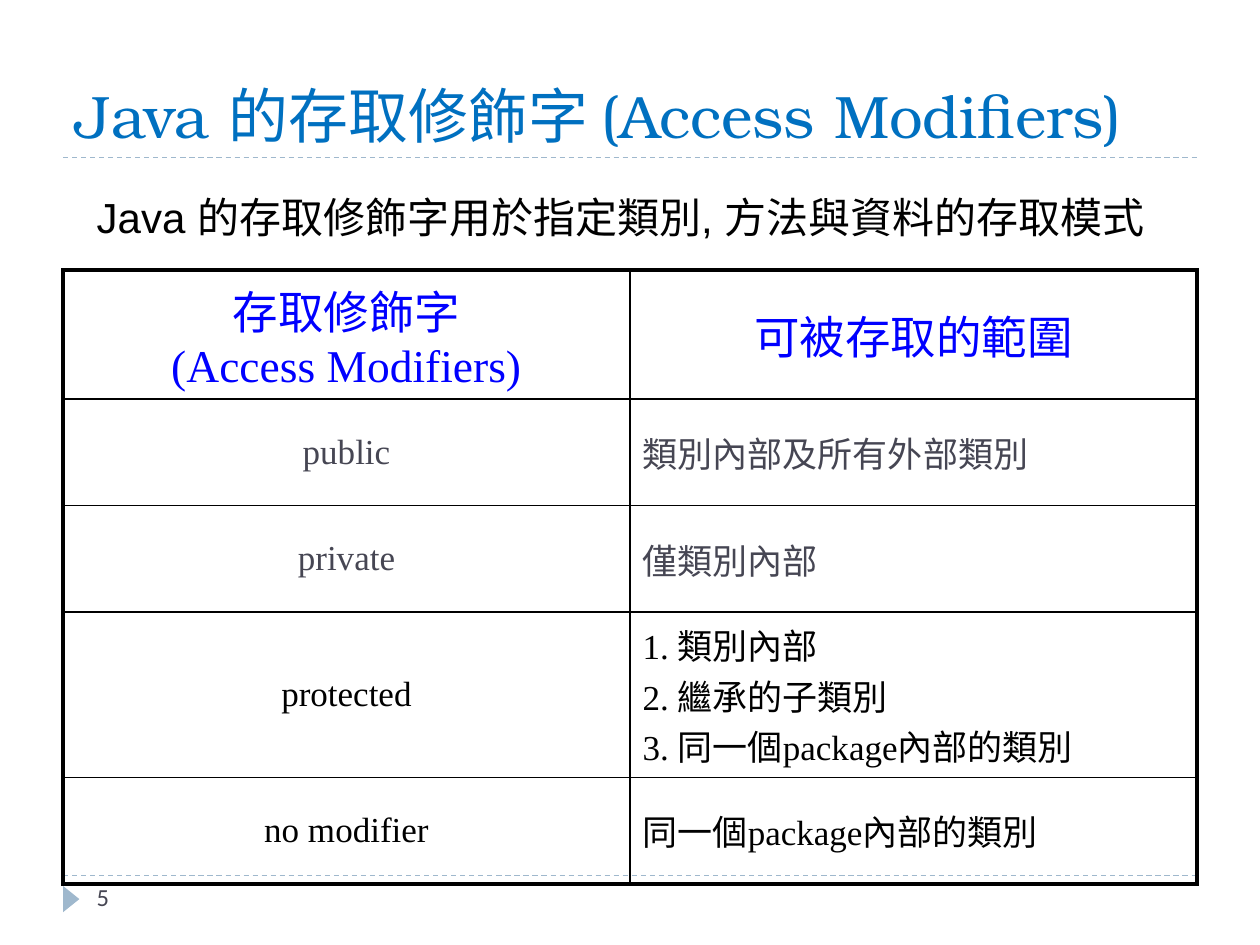
from lxml.etree import SubElement
from pptx import Presentation
from pptx.dml.color import RGBColor as RGB
from pptx.enum.dml import MSO_LINE as Dash
from pptx.enum.shapes import MSO_CONNECTOR as Conn, MSO_SHAPE as Shape
from pptx.enum.text import MSO_ANCHOR as Anchor, MSO_AUTO_SIZE as Fit, PP_ALIGN as Align
from pptx.oxml import parse_xml
from pptx.oxml.ns import nsdecls, qn
from pptx.util import Cm, Pt

# Content
TITLE = "Java 的存取修飾字 (Access Modifiers)"
INTRO = "Java 的存取修飾字用於指定類別, 方法與資料的存取模式"
PAGE = "5"
# (row height in cm, text colour, left lines, right lines)
ROWS = [
    (2.6, "head", ["存取修飾字", "(Access Modifiers)"], ["可被存取的範圍"]),
    (2.15, "soft", ["public"], ["類別內部及所有外部類別"]),
    (2.15, "soft", ["private"], ["僅類別內部"]),
    (3.33, "ink", ["protected"],
     ["1. 類別內部", "2. 繼承的子類別", "3. 同一個package內部的類別"]),
    (2.15, "ink", ["no modifier"], ["同一個package內部的類別"]),
]

# Theme: colours, type (font, size), border widths in points
THEME = {
    "color": {"title": "0070C0", "head": "0000FF", "soft": "464653",
              "ink": "000000", "rule": "9FB8CD"},
    "type": {"title": ("TeX Gyre Bonum", 34.2), "intro": ("Arial", 24),
             "page": ("Calibri", 14), "head": ("Times New Roman", 26),
             "body": ("Times New Roman", 20)},
    "edge": {"outer": 2.25, "inner": 1},
}
LEFT, WIDTH = 1.27, 22.86


def tint(name):
    return RGB.from_string(THEME["color"][name])


def write(para, lines, kind, color):
    font, size = THEME["type"][kind]
    for i, line in enumerate(lines):
        if i:
            para.add_line_break()
        run = para.add_run()
        run.text = line
        run.font.name, run.font.size = font, Pt(size)
        run.font.color.rgb = tint(color)


def label(slide, box, text, kind, color, wrap):
    frame = slide.shapes.add_textbox(*map(Cm, box)).text_frame
    frame.word_wrap = wrap
    write(frame.paragraphs[0], [text], kind, color)
    return frame


def rule(slide, y):
    line = slide.shapes.add_connector(
        Conn.STRAIGHT, Cm(LEFT), Cm(y), Cm(LEFT + WIDTH), Cm(y))
    line.line.color.rgb = tint("rule")
    line.line.width = Pt(0.75)
    line.line.dash_style = Dash.DASH
    SubElement(line._element.spPr, qn("a:effectLst"))


def edge(cell, outer):
    """Draw the four borders; outer names the sides on the table's rim."""
    props = cell._tc.get_or_add_tcPr()
    for i, side in enumerate("LRTB"):
        width = Pt(THEME["edge"]["outer" if side in outer else "inner"])
        props.insert(i, parse_xml(
            f'<a:ln{side} {nsdecls("a")} w="{width}"><a:solidFill>'
            f'<a:srgbClr val="{THEME["color"]["ink"]}"/>'
            f'</a:solidFill></a:ln{side}>'))


def grid(slide, top):
    high = sum(row[0] for row in ROWS)
    table = slide.shapes.add_table(
        len(ROWS), 2, Cm(LEFT), Cm(top), Cm(WIDTH), Cm(high)).table
    table.first_row = table.horz_banding = False
    last = len(ROWS) - 1
    for r, (tall, color, *texts) in enumerate(ROWS):
        table.rows[r].height = Cm(tall)
        kind = "head" if r == 0 else "body"
        for c, lines in enumerate(texts):
            cell = table.cell(r, c)
            cell.vertical_anchor = Anchor.MIDDLE
            cell.fill.background()
            rim = "LR"[c] + ("T" if r == 0 else "") + ("B" if r == last else "")
            edge(cell, rim)
            para = cell.text_frame.paragraphs[0]
            para.alignment = Align.CENTER if r == 0 or c == 0 else Align.LEFT
            para.space_before = Pt(0.2 * THEME["type"][kind][1])
            write(para, lines, kind, color)


def main():
    deck = Presentation()
    deck.slide_width, deck.slide_height = Cm(25.4), Cm(19.05)
    slide = deck.slides.add_slide(deck.slide_layouts[5])

    # Dashed rules and page marker
    for y in (17.65, 3.18):
        rule(slide, y)
    mark = slide.shapes.add_shape(
        Shape.ISOSCELES_TRIANGLE, Cm(1.17), Cm(17.96), Cm(0.53), Cm(0.33))
    mark.rotation = 90
    mark.shadow.inherit = False
    mark.fill.solid()
    mark.fill.fore_color.rgb = tint("rule")
    mark.line.fill.background()

    # Title
    title = slide.shapes.title
    title.left, title.top, title.width, title.height = map(
        Cm, (LEFT, 0.43, WIDTH, 2.74))
    frame = title.text_frame
    frame.auto_size = Fit.NONE
    frame.vertical_anchor = Anchor.BOTTOM
    frame.paragraphs[0].alignment = Align.LEFT
    write(frame.paragraphs[0], [TITLE], "title", "title")

    # Page number, table, introduction
    label(slide, (1.7, 17.65, 5.51, 1.02), PAGE, "page", "soft", True)
    grid(slide, 5.44)
    intro = label(slide, (1.7, 3.73, 22.3, 1.27), INTRO, "intro", "ink", False)
    intro.auto_size = Fit.SHAPE_TO_FIT_TEXT

    deck.save("out.pptx")


if __name__ == "__main__":
    main()
